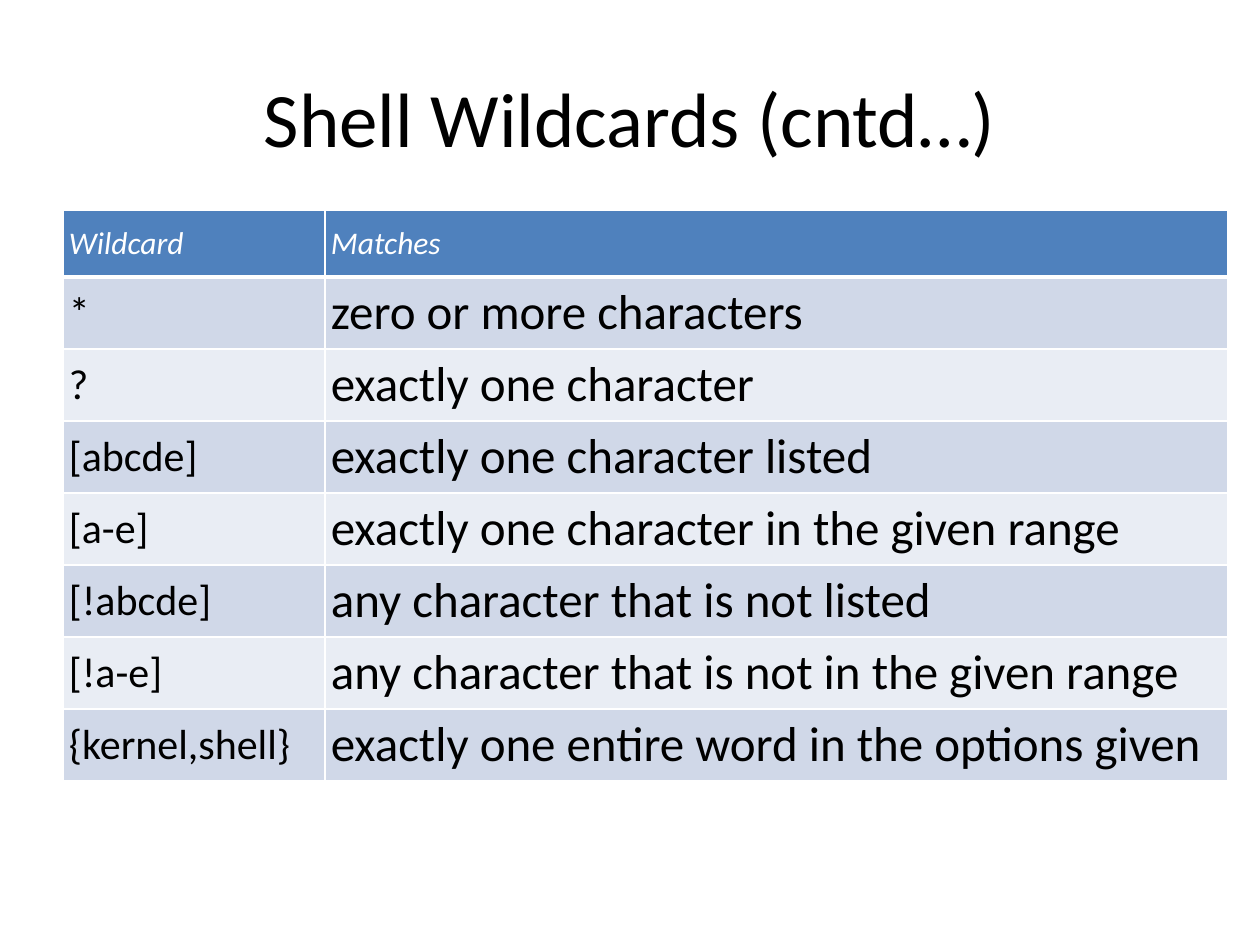
import pptx
import pptx.util
import pptx.dml.color
import pptx.enum.text
import pptx.oxml
import pptx.oxml.ns

SCALE = 914400 // 126
ALIGN = pptx.enum.text.PP_ALIGN
MIDDLE = pptx.enum.text.MSO_ANCHOR.MIDDLE


def px(n):
    return pptx.util.Emu(n * SCALE)


def color(code):
    return pptx.dml.color.RGBColor.from_string(code)


class Deck:
    font = "Calibri"
    black, white = "000000", "FFFFFF"
    head, bands = "4F81BD", ("D0D8E8", "E9EDF4")
    inset = 6

    def __init__(self, wide, high):
        self.prs = pptx.Presentation()
        self.prs.slide_width = pptx.util.Inches(wide)
        self.prs.slide_height = pptx.util.Inches(high)
        self.slide = self.prs.slides.add_slide(self.prs.slide_layouts[6])

    def run(self, para, text, size, tint, italic=False):
        run = para.add_run()
        run.text = text
        font = run.font
        font.name, font.size = self.font, pptx.util.Pt(size)
        font.bold, font.italic = False, italic
        font.color.rgb = color(tint)

    def title(self, box, text, size):
        frame = self.slide.shapes.add_textbox(*map(px, box)).text_frame
        frame.word_wrap = True
        frame.vertical_anchor = MIDDLE
        para = frame.paragraphs[0]
        para.alignment = ALIGN.CENTER
        self.run(para, text, size, self.black)

    def border(self, cell, side, width):
        props = cell._tc.get_or_add_tcPr()
        line = pptx.oxml.parse_xml(
            f'<a:{side} {pptx.oxml.ns.nsdecls("a")} w="{width * 12700}">'
            f'<a:solidFill><a:srgbClr val="{self.white}"/></a:solidFill>'
            f'</a:{side}>')
        props.append(line)

    def cell(self, cell, text, size, tint, fill, edges, italic):
        # Borders come before the fill in the cell properties
        for side, width in edges.items():
            self.border(cell, side, width)
        cell.fill.solid()
        cell.fill.fore_color.rgb = color(fill)
        cell.vertical_anchor = MIDDLE
        cell.margin_left = cell.margin_right = px(self.inset)
        cell.margin_top = cell.margin_bottom = px(self.inset)
        self.run(cell.text_frame.paragraphs[0], text, size, tint, italic)

    def table(self, left, top, cols, first, step, rows, sizes):
        highs = [first] + [step] * (len(rows) - 1)
        table = self.slide.shapes.add_table(
            len(rows), len(cols), px(left), px(top),
            px(sum(cols)), px(sum(highs))).table
        for col, wide in zip(table.columns, cols):
            col.width = px(wide)
        for r, texts in enumerate(rows):
            table.rows[r].height = px(highs[r])
            top_row = r == 0
            edges = {"lnL": 1, "lnR": 1, "lnT": 3 if r == 1 else 1,
                     "lnB": 3 if top_row else 1}
            fill = self.head if top_row else self.bands[(r - 1) % 2]
            tint = self.white if top_row else self.black
            for c, text in enumerate(texts):
                size = 18 if top_row else sizes[c]
                self.cell(table.cell(r, c), text, size, tint, fill,
                          edges, top_row)


deck = Deck(10, 7.5)

# Title
deck.title((63, 38, 1134, 158), "Shell Wildcards (cntd…)", 44)

# Wildcard table
deck.table(63, 210, (262, 903), 67, 72, [
    ("Wildcard", "Matches"),
    ("*", "zero or more characters"),
    ("?", "exactly one character"),
    ("[abcde]", "exactly one character listed"),
    ("[a-e]", "exactly one character in the given range"),
    ("[!abcde]", "any character that is not listed"),
    ("[!a-e]", "any character that is not in the given range"),
    ("{kernel,shell}", "exactly one entire word in the options given"),
], (24, 28))

deck.prs.save("out.pptx")
